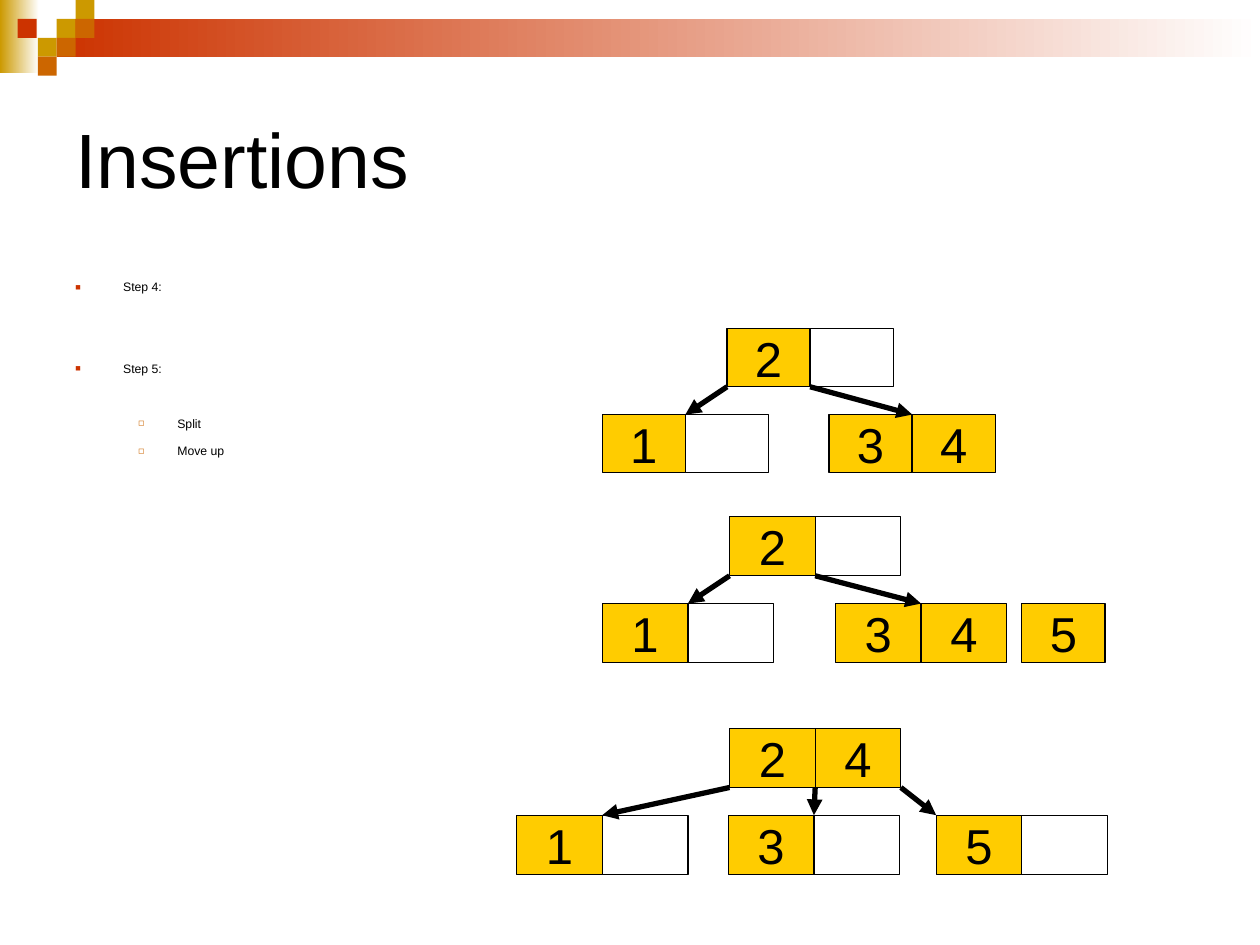
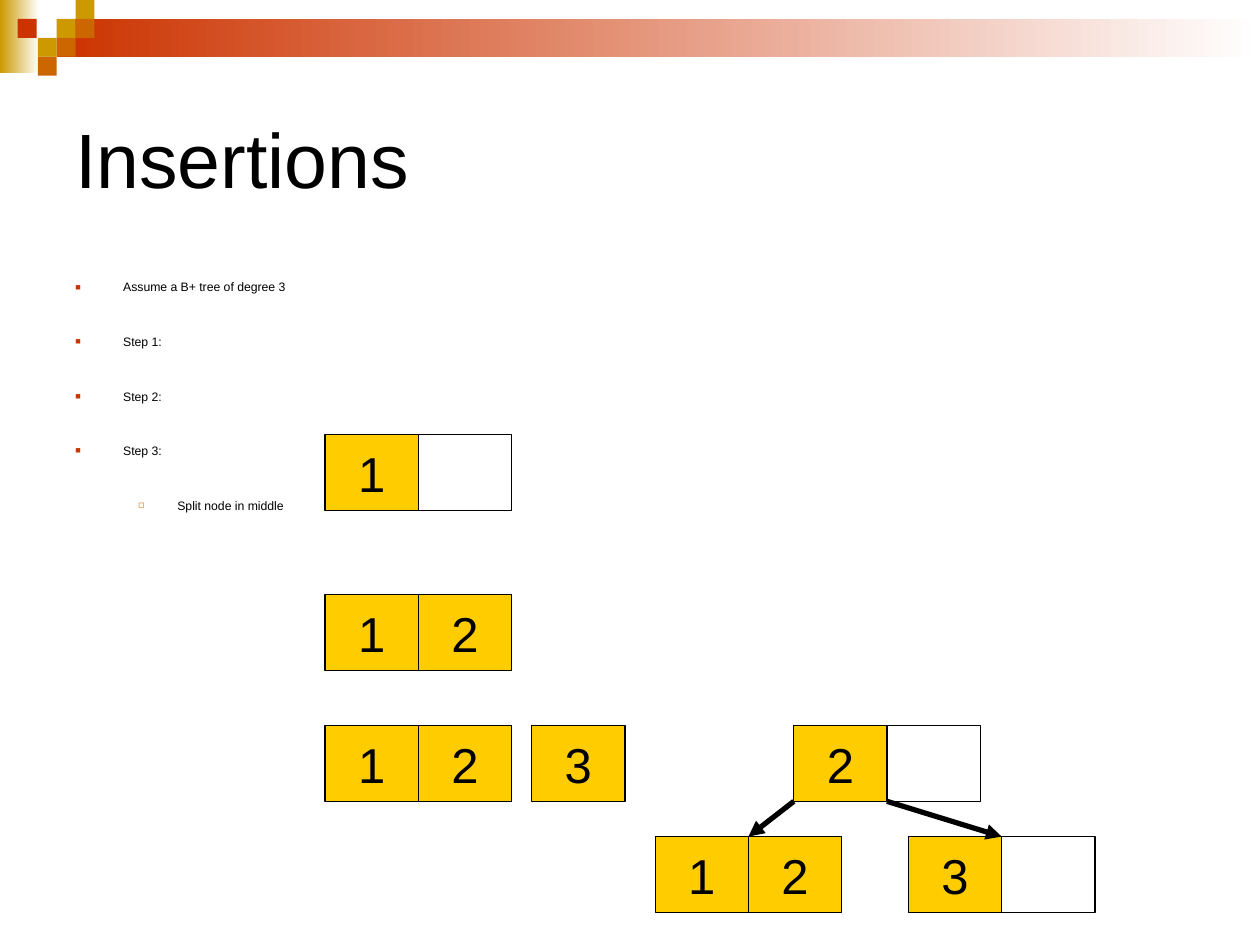
from lxml import etree
from pptx import Presentation
from pptx.dml.color import RGBColor
from pptx.enum.shapes import MSO_CONNECTOR, MSO_SHAPE
from pptx.enum.text import MSO_ANCHOR, PP_ALIGN
from pptx.oxml.ns import qn
from pptx.util import Inches, Pt

RECT = MSO_SHAPE.RECTANGLE
STRAIGHT = MSO_CONNECTOR.STRAIGHT
MIDDLE = MSO_ANCHOR.MIDDLE
TOP = MSO_ANCHOR.TOP
CENTER = PP_ALIGN.CENTER

BLACK = RGBColor(0x00, 0x00, 0x00)
WHITE = RGBColor(0xFF, 0xFF, 0xFF)
YELLOW = RGBColor(0xFF, 0xCC, 0x00)
GOLD = RGBColor(0xCC, 0x99, 0x00)
ORANGE = RGBColor(0xCC, 0x66, 0x00)
RED = RGBColor(0xCC, 0x33, 0x00)

FONT = "Arial"
LINE_PITCH, LINE_HEIGHT = 15.43, 8.05

BANDS = [
    (0, 0, 0.31, 0.58, GOLD),
    (0.45, 0.15, 9.55, 0.3, RED),
]
TILE = 0.15
TILES = [
    (0.45, 0.15, GOLD), (0.6, 0, GOLD), (0.6, 0.15, ORANGE), (0.3, 0.3, GOLD),
    (0.14, 0.15, RED), (0.45, 0.3, ORANGE), (0.3, 0.45, ORANGE),
]
LEVELS = [
    {"indent": 0.38, "hang": 0.38, "char": "■", "color": RED, "size": 75},
    {"indent": 0.81, "hang": 0.31, "char": "◻", "color": ORANGE, "size": 80},
]

# nodes: left, top, keys; arrows: parent, parent edge, child, child edge
SLIDES = [
    {
        "title": "Insertions",
        "steps": [("Step 4:", 0, 0), ("Step 5:", 0, 3), ("Split", 1, 2), ("Move up", 1, 1)],
        "trees": [
            {
                "cell": (0.66, 0.46),
                "nodes": [(5.77, 2.61, ["2", ""]), (4.78, 3.29, ["1", ""]),
                          (6.58, 3.29, ["3", "4"])],
                "arrows": [(0, 0, 1, 1), (0, 1, 2, 1)],
            },
            {
                "cell": (0.68, 0.47),
                "nodes": [(5.79, 4.1, ["2", ""]), (4.78, 4.79, ["1", ""]),
                          (6.63, 4.79, ["3", "4"])],
                "arrows": [(0, 0, 1, 1), (0, 1, 2, 1)],
            },
            {"cell": (0.66, 0.47), "nodes": [(8.11, 4.79, ["5"])], "arrows": []},
            {
                "cell": (0.68, 0.47),
                "nodes": [(5.79, 5.78, ["2", "4"]), (4.1, 6.47, ["1", ""]),
                          (5.78, 6.47, ["3", ""]), (7.43, 6.47, ["5", ""])],
                "arrows": [(0, 0, 1, 1), (0, 1, 2, 1), (0, 2, 3, 0)],
            },
        ],
    },
    {
        "title": "Insertions",
        "steps": [("Assume a B+ tree of degree 3", 0, 0), ("Step 1:", 0, 2),
                  ("Step 2:", 0, 2), ("Step 3:", 0, 2), ("Split node in middle", 1, 2)],
        "trees": [
            {
                "cell": (0.74, 0.6),
                "nodes": [(6.3, 5.76, ["2", ""]), (5.2, 6.64, ["1", "2"]),
                          (7.21, 6.64, ["3", ""]), (2.58, 3.45, ["1", ""]),
                          (2.58, 4.72, ["1", "2"]), (2.58, 5.76, ["1", "2"]),
                          (4.22, 5.76, ["3"])],
                "arrows": [(0, 0, 1, 1), (0, 1, 2, 1)],
            },
        ],
    },
]


def add_rect(s, x, y, w, h, color, fade=False):
    sp = s.shapes.add_shape(RECT, Inches(x), Inches(y), Inches(w), Inches(h))
    sp.shadow.inherit = False
    sp.line.fill.background()
    if fade:
        sp.fill.gradient()
        sp.fill.gradient_angle = 0
        for stop, rgb in zip(sp.fill.gradient_stops, (color, WHITE)):
            stop.color.rgb = rgb
    else:
        sp.fill.solid()
        sp.fill.fore_color.rgb = color
    return sp


def add_run(p, text, size):
    r = p.add_run()
    r.text = text
    for name, value in {"name": FONT, "size": Pt(size)}.items():
        setattr(r.font, name, value)
    r.font.color.rgb = BLACK


def add_textbox(s, x, y, w, h, anchor):
    tf = s.shapes.add_textbox(Inches(x), Inches(y), Inches(w), Inches(h)).text_frame
    tf.word_wrap = True
    tf.vertical_anchor = anchor
    return tf


def add_bullet(p, level):
    pPr = p._p.get_or_add_pPr()
    pPr.set("marL", str(Inches(level["indent"])))
    pPr.set("indent", str(-Inches(level["hang"])))
    color = etree.SubElement(pPr, qn("a:buClr"))
    etree.SubElement(color, qn("a:srgbClr"), val=str(level["color"]))
    etree.SubElement(pPr, qn("a:buSzPct"), val=str(level["size"] * 1000))
    etree.SubElement(pPr, qn("a:buFont"), typeface=FONT)
    etree.SubElement(pPr, qn("a:buChar"), char=level["char"])


def add_steps(s, steps):
    tf = add_textbox(s, 0.5, 2.17, 9, 1.58, TOP)
    for i, (text, depth, lines_down) in enumerate(steps):
        p = tf.add_paragraph() if i else tf.paragraphs[0]
        p.level = depth
        add_bullet(p, LEVELS[depth])
        if i:
            p.space_before = Pt(lines_down * LINE_PITCH - LINE_HEIGHT)
        add_run(p, text, 7)


def add_cell(s, x, y, w, h, key):
    sp = add_rect(s, x, y, w, h, YELLOW if key else WHITE)
    sp.line.color.rgb = BLACK
    sp.line.width = Pt(0.75)
    if key:
        tf = sp.text_frame
        tf.word_wrap = False
        tf.vertical_anchor = MIDDLE
        p = tf.paragraphs[0]
        p.alignment = CENTER
        add_run(p, key, 28)


def add_arrow(s, x1, y1, x2, y2):
    c = s.shapes.add_connector(STRAIGHT, Inches(x1), Inches(y1), Inches(x2), Inches(y2))
    c.line.color.rgb = BLACK
    c.line.width = Pt(3)
    etree.SubElement(c.line._get_or_add_ln(), qn("a:tailEnd"), type="triangle")
    etree.SubElement(c._element.spPr, qn("a:effectLst"))


def add_tree(s, tree):
    w, h = tree["cell"]
    nodes = tree["nodes"]
    for x, y, keys in nodes:
        for i, key in enumerate(keys):
            add_cell(s, x + i * w, y, w, h, key)
    for parent, start, child, end in tree["arrows"]:
        px, py, _ = nodes[parent]
        cx, cy, _ = nodes[child]
        add_arrow(s, px + start * w, py + h, cx + end * w, cy)


def add_frame(s, title):
    for *box, color in BANDS:
        add_rect(s, *box, color, fade=True)
    for x, y, color in TILES:
        add_rect(s, x, y, TILE, TILE, color)
    tf = add_textbox(s, 0.5, 0.5, 9, 1.5, MIDDLE)
    add_run(tf.paragraphs[0], title, 44)


def main():
    prs = Presentation()
    prs.slide_width, prs.slide_height = Inches(10), Inches(7.5)
    for content in SLIDES:
        s = prs.slides.add_slide(prs.slide_layouts[6])
        add_frame(s, content["title"])
        add_steps(s, content["steps"])
        for tree in content["trees"]:
            add_tree(s, tree)
    prs.save("out.pptx")


if __name__ == "__main__":
    main()
